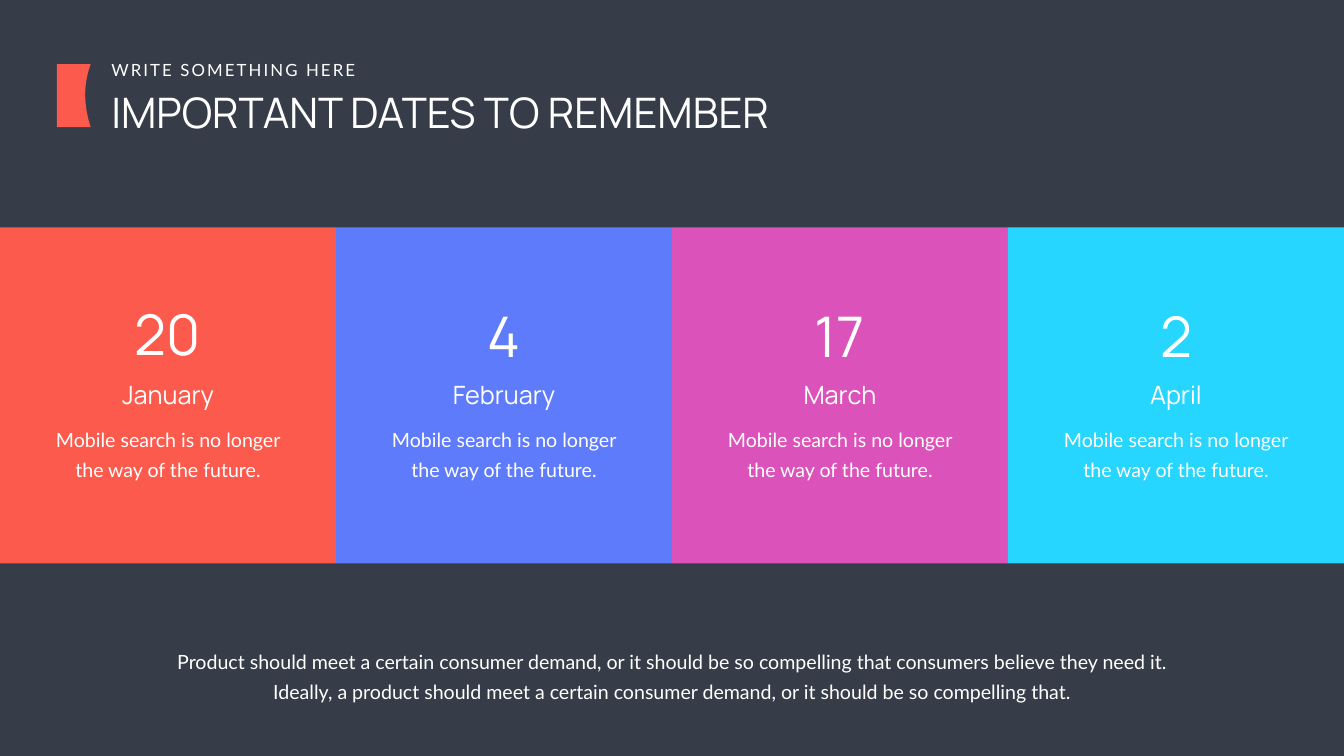
from pptx import Presentation
from pptx.dml.color import RGBColor
from pptx.enum.shapes import MSO_SHAPE
from pptx.enum.text import MSO_AUTO_SIZE, PP_ALIGN
from pptx.util import Cm, Pt

RECTANGLE = MSO_SHAPE.RECTANGLE
GROW = MSO_AUTO_SIZE.SHAPE_TO_FIT_TEXT
LEFT, CENTER = PP_ALIGN.LEFT, PP_ALIGN.CENTER

COLORS = {
    "background": "363D48",
    "text": "FFFFFF",
    "coral": "FC5A4C",
    "blue": "5E7BFB",
    "pink": "DC52BB",
    "cyan": "26D6FE",
}
FONTS = {
    "title": {"name": "Manrope", "size": Pt(60)},
    "kicker": {"name": "Lato", "size": Pt(24)},
    "day": {"name": "Manrope", "size": Pt(80)},
    "month": {"name": "Manrope", "size": Pt(36)},
    "body": {"name": "Lato", "size": Pt(28)},
}
PARAGRAPHS = {
    "title": {"alignment": LEFT},
    "kicker": {"alignment": LEFT},
    "day": {"alignment": CENTER},
    "month": {"alignment": CENTER},
    "body": {"alignment": CENTER, "line_spacing": Pt(43)},
}
DEFAULT_INSETS = (0.25, 0.13)
WIDTH, HEIGHT = 67.72, 38.1
DATES = [
    ("20", "January", "coral", 3.51),
    ("4", "February", "blue", 3.61),
    ("17", "March", "pink", 3.61),
    ("2", "April", "cyan", 3.61),
]
DESCRIPTION = "Mobile search is no longer the way of the future."
SUMMARY = (
    "Product should meet a certain consumer demand, or it should be so "
    "compelling that consumers believe they need it. Ideally, a product "
    "should meet a certain consumer demand, or it should be so compelling that."
)


def apply(target, values):
    """Set every attribute in values on the target."""
    for attribute, value in values.items():
        setattr(target, attribute, value)


def paint(shape, color):
    """Give a shape a flat fill with no line or shadow."""
    shape.fill.solid()
    shape.fill.fore_color.rgb = RGBColor.from_string(COLORS[color])
    shape.line.fill.background()
    shape.shadow.inherit = False


def add_text(slide, box, words, style, wrap=True, insets=DEFAULT_INSETS):
    """Place one styled paragraph in a box and return its run."""
    frame = slide.shapes.add_textbox(*map(Cm, box)).text_frame
    side, end = map(Cm, insets)
    apply(frame, {
        "word_wrap": wrap, "auto_size": GROW,
        "margin_left": side, "margin_right": side,
        "margin_top": end, "margin_bottom": end,
    })
    paragraph = frame.paragraphs[0]
    apply(paragraph, PARAGRAPHS[style])
    run = paragraph.add_run()
    run.text = words
    apply(run.font, FONTS[style])
    run.font.color.rgb = RGBColor.from_string(COLORS["text"])
    return run


def add_marker(slide, left, top, width, height):
    """Draw the coral block whose right edge bows inward."""
    bow = [(width, 0), (0.82 * width, 0.27 * height),
           (0.75 * width, 0.58 * height), (width, height)]
    steps = 24
    edge = []
    for step in range(steps + 1):
        t = step / steps
        weights = ((1 - t) ** 3, 3 * t * (1 - t) ** 2, 3 * t ** 2 * (1 - t), t ** 3)
        edge.append(tuple(
            Cm(origin + sum(w * point[axis] for w, point in zip(weights, bow)))
            for axis, origin in enumerate((left, top))
        ))
    outline = slide.shapes.build_freeform(Cm(left), Cm(top))
    outline.add_line_segments(edge + [(Cm(left), Cm(top + height))], close=True)
    paint(outline.convert_to_shape(), "coral")


def add_header(slide, left, top):
    """Place the marker, the kicker and the title."""
    add_text(slide, (left + 2.49, top + 1.37, 40.79, 2.82),
             "IMPORTANT DATES TO REMEMBER", "title")
    kicker = add_text(slide, (left + 2.49, top, 13.06, 1.27),
                      "WRITE SOMETHING HERE", "kicker", wrap=False)
    kicker.font._element.set("spc", "300")
    add_marker(slide, left, top + 0.36, 1.7, 3.18)


def add_date(slide, left, top, side, date):
    """Place one square date panel with its day, month and description."""
    day, month, color, day_offset = date
    panel = slide.shapes.add_shape(RECTANGLE, *map(Cm, (left, top, side, side)))
    paint(panel, color)
    day_width, copy_width = 7.7, 13.06
    day_left = left + (side - day_width) / 2
    copy_left = left + (side - copy_width) / 2
    add_text(slide, (day_left, top + day_offset, day_width, 3.68), day, "day")
    add_text(slide, (copy_left, top + 7.52, copy_width, 1.8), month, "month")
    add_text(slide, (copy_left, top + 9.45, copy_width, 3.51),
             DESCRIPTION, "body", insets=(0.61, 0.3))


def add_dates(slide, left, top, width):
    """Divide the band equally among the date panels."""
    side = width / len(DATES)
    for column, date in enumerate(DATES):
        add_date(slide, left + column * side, top, side, date)


def add_footer(slide, left, top, width, height):
    """Place the closing summary."""
    add_text(slide, (left, top, width, height), SUMMARY, "body")


def main():
    """Build and save the slide."""
    deck = Presentation()
    apply(deck, {"slide_width": Cm(WIDTH), "slide_height": Cm(HEIGHT)})
    slide = deck.slides.add_slide(deck.slide_layouts[6])
    backdrop = slide.background.fill
    backdrop.solid()
    backdrop.fore_color.rgb = RGBColor.from_string(COLORS["background"])
    add_header(slide, 2.87, 2.87)
    add_dates(slide, 0, 11.46, WIDTH)
    add_footer(slide, 7.6, 32.28, 52.5, 3.15)
    deck.save("out.pptx")


if __name__ == "__main__":
    main()
